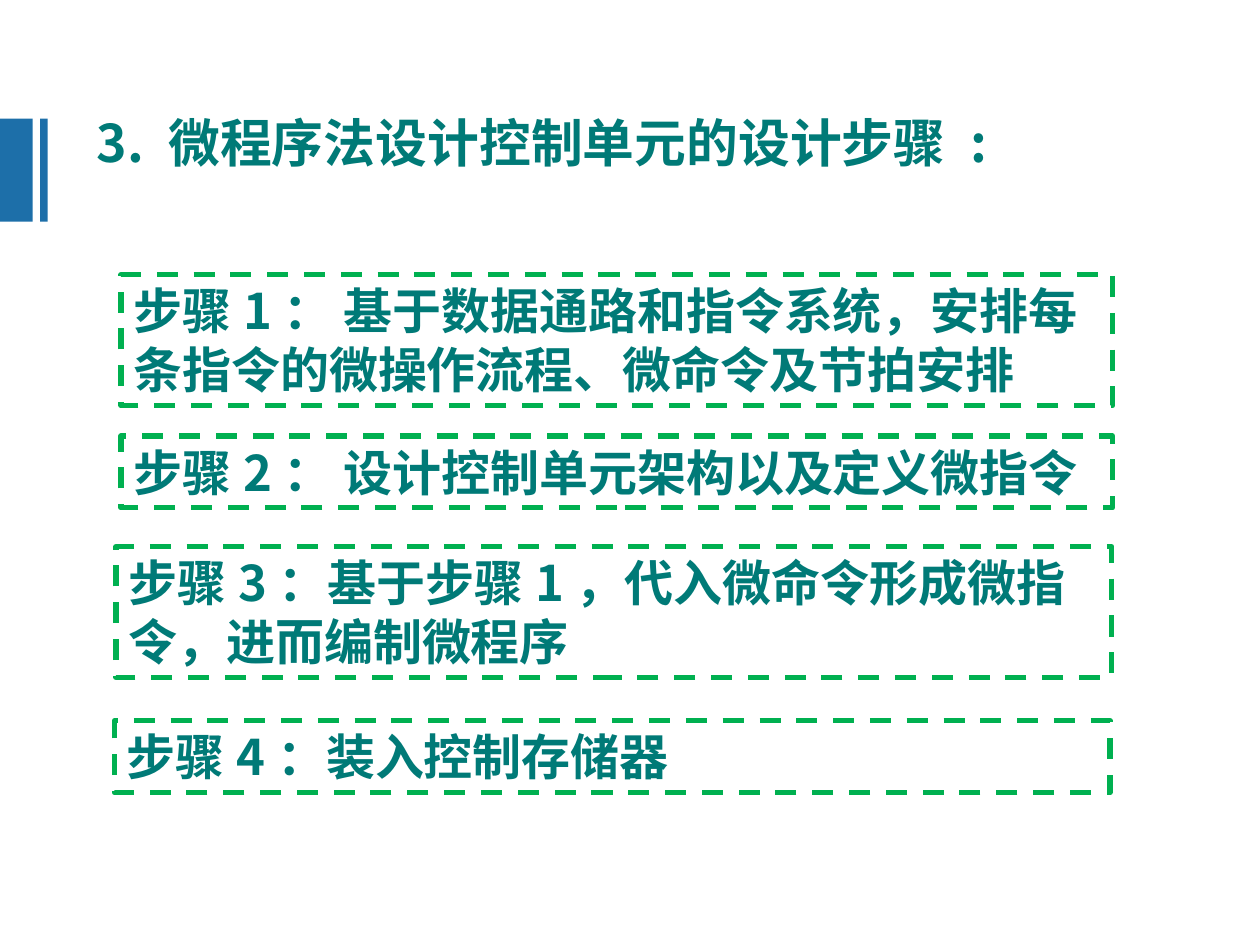
from lxml.etree import SubElement
from pptx import Presentation
from pptx.dml.color import RGBColor
from pptx.enum.dml import MSO_LINE
from pptx.enum.shapes import MSO_SHAPE
from pptx.enum.text import MSO_ANCHOR, PP_ALIGN
from pptx.oxml.ns import qn
from pptx.util import Cm, Pt

FONT = "Noto Sans CJK SC"
TEAL = RGBColor(0x00, 0x7A, 0x77)
GREEN = RGBColor(0x00, 0xB0, 0x50)
BLUE = RGBColor(0x1D, 0x6F, 0xA9)

STEPS = [
    (2.44, 5.54, 19.99, 2.64, "步骤1： 基于数据通路和指令系统，安排每条指令的微操作流程、微命令及节拍安排"),
    (2.44, 8.79, 19.99, 1.45, "步骤2： 设计控制单元架构以及定义微指令"),
    (2.34, 11.02, 20.07, 2.64, "步骤3：基于步骤1，代入微命令形成微指令，进而编制微程序"),
    (2.31, 14.53, 20.07, 1.45, "步骤4：装入控制存储器"),
]
BARS = [(-0.03, 0.69), (0.81, 0.15)]


def write(sp, text, size=28, line_spacing=1.0):
    tf = sp.text_frame
    tf.word_wrap = True
    tf.vertical_anchor = MSO_ANCHOR.TOP
    p = tf.paragraphs[0]
    p.alignment = PP_ALIGN.LEFT
    p.line_spacing = line_spacing
    r = p.add_run()
    r.text = text
    r.font.size = Pt(size)
    r.font.bold = True
    r.font.color.rgb = TEAL
    r.font.name = FONT
    SubElement(r.font._element, qn("a:ea"), typeface=FONT)


def add_rect(slide, left, top, width, height):
    sp = slide.shapes.add_shape(
        MSO_SHAPE.RECTANGLE, Cm(left), Cm(top), Cm(width), Cm(height))
    sp.shadow.inherit = False
    return sp


def add_bar(slide, left, width):
    sp = add_rect(slide, left, 2.39, width, 2.08)
    sp.fill.solid()
    sp.fill.fore_color.rgb = BLUE
    sp.line.fill.background()


def add_step(slide, left, top, width, height, text):
    sp = add_rect(slide, left, top, width, height)
    sp.fill.background()
    sp.line.color.rgb = GREEN
    sp.line.width = Pt(3)
    sp.line.dash_style = MSO_LINE.DASH
    write(sp, text)


def add_title(slide, text):
    sp = slide.shapes.add_textbox(Cm(1.7), Cm(2.24), Cm(20.7), Cm(1.45))
    write(sp, text, size=29.6, line_spacing=0.9)


def main():
    """Build the slide of design steps and save it."""
    prs = Presentation()
    prs.slide_width, prs.slide_height = Cm(25.4), Cm(19.05)
    slide = prs.slides.add_slide(prs.slide_layouts[6])
    add_title(slide, "3. 微程序法设计控制单元的设计步骤 :")
    for bar in BARS:
        add_bar(slide, *bar)
    for step in STEPS:
        add_step(slide, *step)
    prs.save("out.pptx")


if __name__ == "__main__":
    main()
